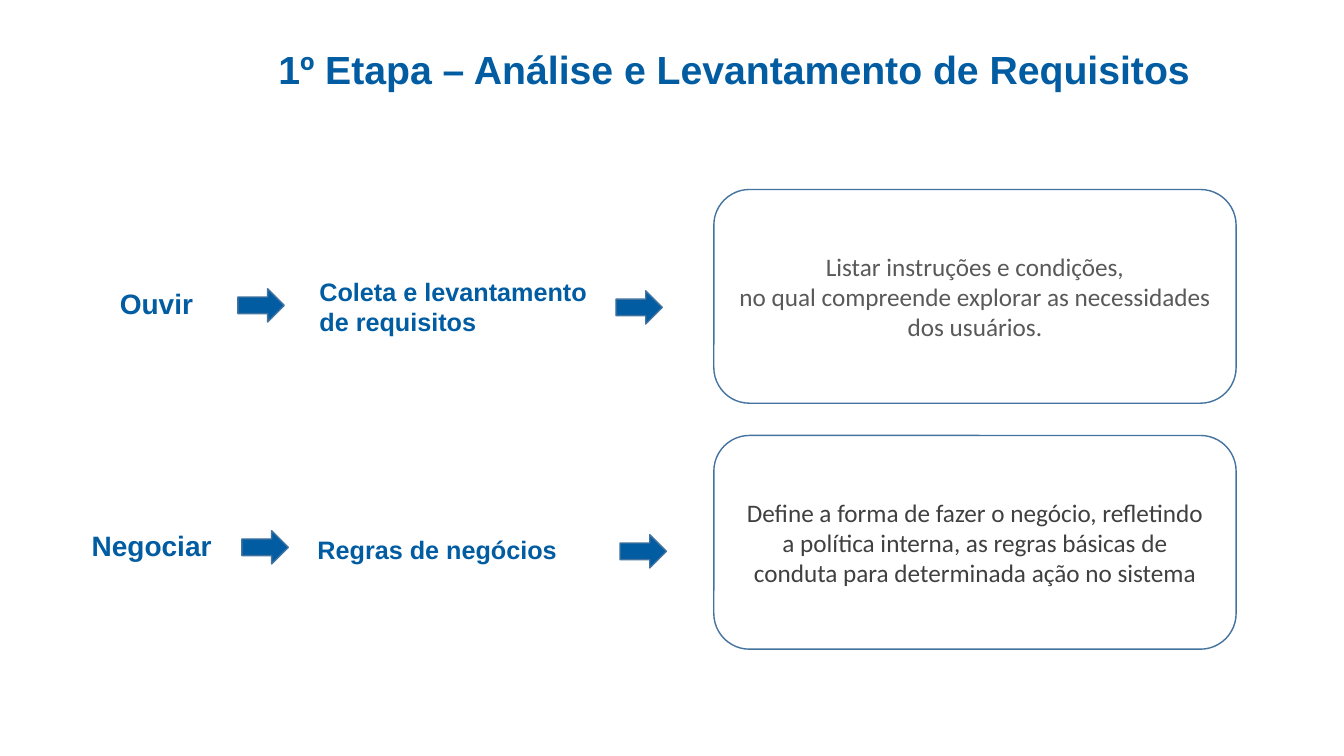
"""Build the slide on requirements analysis: two steps, each leading to its description."""
from pptx import Presentation
from pptx.dml.color import RGBColor
from pptx.enum.shapes import MSO_SHAPE as Shape
from pptx.enum.text import MSO_ANCHOR as Anchor, PP_ALIGN as Align
from pptx.util import Inches, Pt

BLUE = RGBColor(0x01, 0x5C, 0xA2)
OUTLINE = RGBColor(0x43, 0x73, 0x9E)
WHITE = RGBColor(0xFF, 0xFF, 0xFF)
GRAY = RGBColor(0x59, 0x59, 0x59)
DARK_GRAY = RGBColor(0x40, 0x40, 0x40)

TITLE = "1º Etapa – Análise e Levantamento de Requisitos"
STEPS = [
    {
        "action": ("Ouvir", 1.09, 3.01, 1.04),
        "activity": ("Coleta e levantamento\nde requisitos", 3.07, 3.04, 2.94),
        "arrows": [(2.36, 3.03), (6.11, 3.05)],
        "description": "Listar instruções e condições,\n"
                       "no qual compreende explorar as necessidades\n"
                       "dos usuários.",
        "color": GRAY,
    },
    {
        "action": ("Negociar", 0.81, 5.41, 1.49),
        "activity": ("Regras de negócios", 3.05, 5.45, 2.75),
        "arrows": [(2.4, 5.43), (6.15, 5.47)],
        "description": "Define a forma de fazer o negócio, refletindo\n"
                       "a política interna, as regras básicas de\n"
                       "conduta para determinada ação no sistema",
        "color": DARK_GRAY,
    },
]
BOX_LEFT, BOX_TOP, BOX_WIDTH, BOX_HEIGHT, BOX_PITCH = 7.08, 1.88, 5.18, 2.12, 2.44
ARROW_WIDTH, ARROW_HEIGHT = 0.46, 0.33
LABEL_HEIGHT = 0.7


def write(shape, text, size, color, font="Arial", bold=True, align=Align.LEFT):
    frame = shape.text_frame
    frame.text = text
    frame.word_wrap = True
    frame.vertical_anchor = Anchor.MIDDLE
    for paragraph in frame.paragraphs:
        paragraph.alignment = align
        for run in paragraph.runs:
            run.font.name, run.font.size, run.font.bold = font, Pt(size), bold
            run.font.color.rgb = color


def add_label(slide, label, size):
    text, left, middle, width = label
    box = slide.shapes.add_textbox(Inches(left), Inches(middle - LABEL_HEIGHT / 2),
                                   Inches(width), Inches(LABEL_HEIGHT))
    write(box, text, size, BLUE)


def add_outlined(slide, kind, left, top, width, height, fill):
    shape = slide.shapes.add_shape(kind, Inches(left), Inches(top), Inches(width), Inches(height))
    shape.shadow.inherit = False
    shape.fill.solid()
    shape.fill.fore_color.rgb = fill
    shape.line.color.rgb = OUTLINE
    shape.line.width = Pt(1)
    return shape


def main():
    presentation = Presentation()
    presentation.slide_width, presentation.slide_height = Inches(13.33), Inches(7.5)
    slide = presentation.slides.add_slide(presentation.slide_layouts[5])

    title = slide.shapes.title
    title.left, title.top, title.width, title.height = map(Inches, (2.66, 0.16, 9.98, 1.05))
    write(title, TITLE, 28, BLUE)

    for row, step in enumerate(STEPS):
        add_label(slide, step["action"], 20)
        add_label(slide, step["activity"], 18)
        for left, middle in step["arrows"]:
            add_outlined(slide, Shape.RIGHT_ARROW, left, middle - ARROW_HEIGHT / 2,
                         ARROW_WIDTH, ARROW_HEIGHT, BLUE)
        box = add_outlined(slide, Shape.ROUNDED_RECTANGLE, BOX_LEFT, BOX_TOP + row * BOX_PITCH,
                           BOX_WIDTH, BOX_HEIGHT, WHITE)
        write(box, step["description"], 18, step["color"], "Calibri", False, Align.CENTER)

    presentation.save("out.pptx")


if __name__ == "__main__":
    main()
